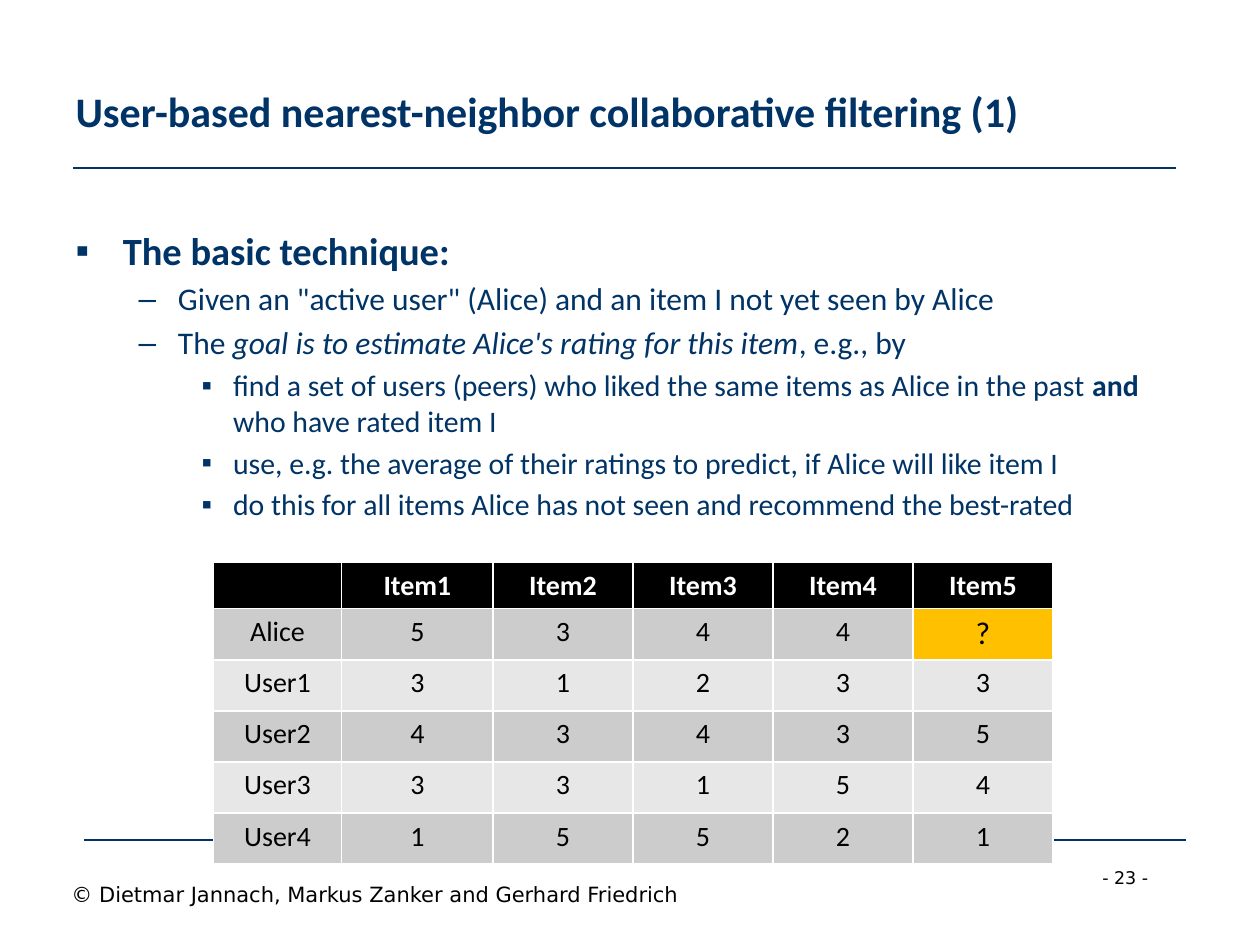
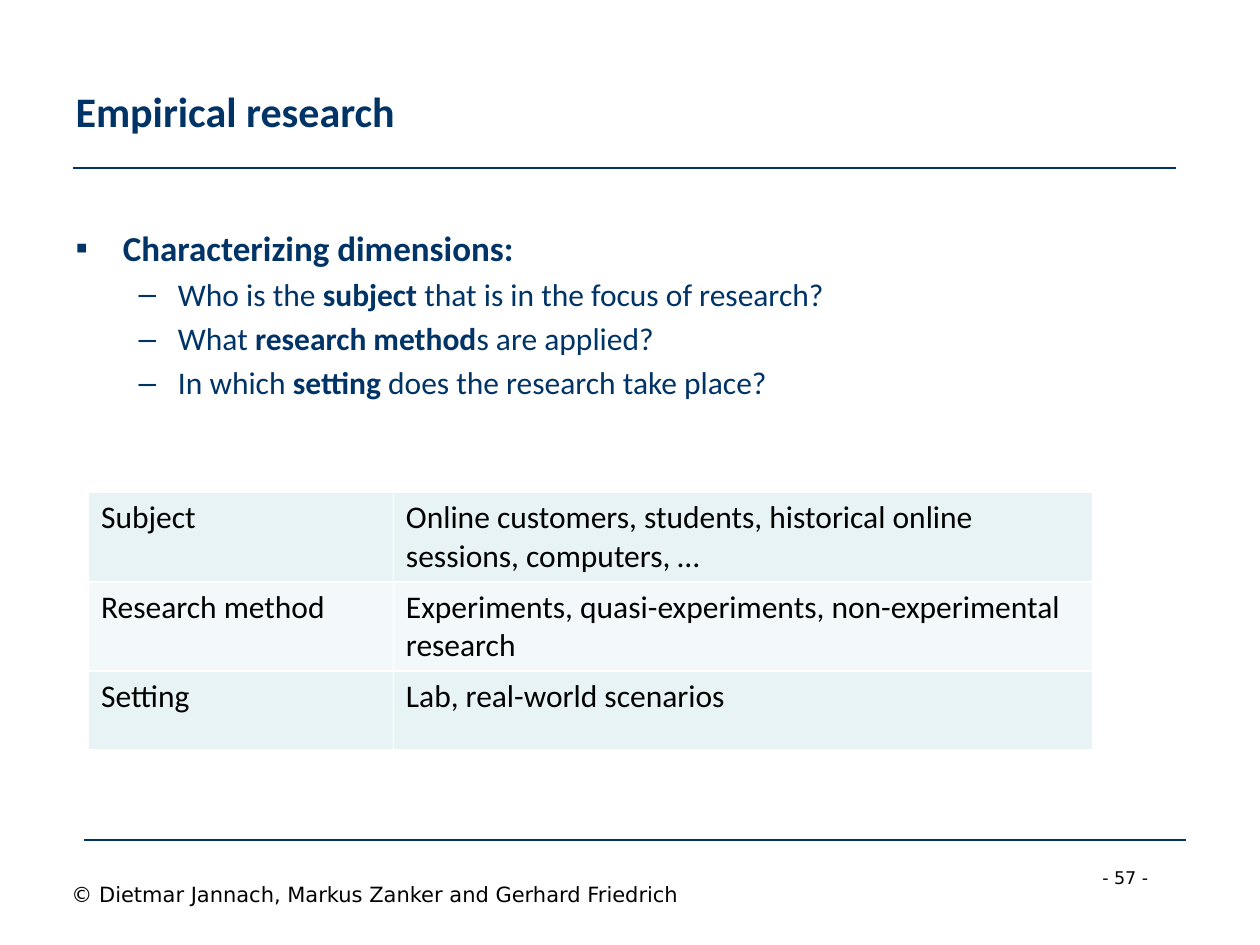
from lxml import etree
from pptx import Presentation
from pptx.dml.color import RGBColor
from pptx.enum.shapes import MSO_CONNECTOR
from pptx.enum.text import MSO_ANCHOR, MSO_AUTO_SIZE, PP_ALIGN
from pptx.oxml.ns import qn
from pptx.util import Pt

STRAIGHT = MSO_CONNECTOR.STRAIGHT
MIDDLE, TOP = MSO_ANCHOR.MIDDLE, MSO_ANCHOR.TOP
NO_AUTOFIT = MSO_AUTO_SIZE.NONE
LEFT, CENTER = PP_ALIGN.LEFT, PP_ALIGN.CENTER

COLORS = {
    "navy": "003366", "black": "000000", "white": "FFFFFF", "unknown": "FFC000",
    "gray": "CCCCCC", "light gray": "E7E7E7", "mint": "E7F3F4", "light mint": "F3F9FA",
}
TEXT_FONT, FOOTER_FONT = "Calibri", "DejaVu Sans"
TITLE_BOX = (36, 18, 648, 90)
BODY_BOX = (36, 126, 648, 356.4)
PAGE_NUMBER_BOX = (622.8, 491.8, 54.7, 19.4)
COPYRIGHT_BOX = (33.8, 500.4, 456.5, 21.6)
RULES = ((42, 96), (48, 480))
RULE_WIDTH = 630
COPYRIGHT = "© Dietmar Jannach, Markus Zanker and Gerhard Friedrich"
BULLETS = (("▪", 27, 27), ("–", 58.5, 22.5), ("▪", 90, 18))
PLAIN, BOLD, ITALIC = "plain", "bold", "italic"

TECHNIQUE = (
    (0, 22, [("The basic technique:", BOLD)]),
    (1, 18, [('Given an "active user" (Alice) and an item I not yet seen by Alice', PLAIN)]),
    (1, 18, [("The ", PLAIN), ("goal is to estimate Alice's rating for this item", ITALIC),
             (", e.g., by", PLAIN)]),
    (2, 17, [("find a set of users (peers) who liked the same items as Alice in the past ", PLAIN),
             ("and ", BOLD), ("who have rated item I", PLAIN)]),
    (2, 17, [("use, e.g. the average of their ratings to predict, if Alice will like item I", PLAIN)]),
    (2, 17, [("do this for all items Alice has not seen and recommend the best-rated", PLAIN)]),
)
RATINGS = (
    ("", "Item1", "Item2", "Item3", "Item4", "Item5"),
    ("Alice", "5", "3", "4", "4", "?"),
    ("User1", "3", "1", "2", "3", "3"),
    ("User2", "4", "3", "4", "3", "5"),
    ("User3", "3", "3", "1", "5", "4"),
    ("User4", "1", "5", "5", "2", "1"),
)
DIMENSIONS = (
    (0, 20, [("Characterizing dimensions:", BOLD)]),
    (1, 18, [("Who is the ", PLAIN), ("subject", BOLD),
             (" that is in the focus of research?", PLAIN)]),
    (1, 18, [("What ", PLAIN), ("research method", BOLD), ("s are applied?", PLAIN)]),
    (1, 18, [("In which ", PLAIN), ("setting", BOLD),
             (" does the research take place?", PLAIN)]),
)
DIMENSION_VALUES = (
    ("Subject", "Online customers, students, historical online sessions, computers, …"),
    ("Research method", "Experiments, quasi-experiments, non-experimental research"),
    ("Setting", "Lab, real-world scenarios"),
)


def color(name):
    """Return the named colour."""
    return RGBColor.from_string(COLORS[name])


def style_font(font, size, color_name, name=TEXT_FONT, bold=False):
    """Set the face, size, colour and weight of a font."""
    font.name, font.size, font.bold = name, Pt(size), bold
    font.color.rgb = color(color_name)


def place(shape, box):
    """Move a shape to a box of left, top, width and height."""
    shape.left, shape.top, shape.width, shape.height = map(Pt, box)


def add_rule(slide, left, top):
    """Draw a thin horizontal rule."""
    rule = slide.shapes.add_connector(STRAIGHT, Pt(left), Pt(top), Pt(left + RULE_WIDTH), Pt(top))
    rule.line.color.rgb = color("navy")
    rule.line.width = Pt(0.75)
    etree.SubElement(rule._element.spPr, qn("a:effectLst"))


def add_footer_text(slide, box, text, size):
    """Add one line of footer text."""
    frame = slide.shapes.add_textbox(*map(Pt, box)).text_frame
    frame.word_wrap = True
    paragraph = frame.paragraphs[0]
    paragraph.text = text
    style_font(paragraph.font, size, "black", FOOTER_FONT)


def fill_title(slide, text):
    """Place and format the slide title."""
    title = slide.shapes.title
    place(title, TITLE_BOX)
    frame = title.text_frame
    frame.text = text
    frame.vertical_anchor = MIDDLE
    frame.auto_size = NO_AUTOFIT
    paragraph = frame.paragraphs[0]
    paragraph.alignment = LEFT
    style_font(paragraph.font, 24, "navy", bold=True)


def set_bullet(paragraph, level):
    """Give a paragraph the bullet and indent of its level."""
    character, margin, hanging = BULLETS[level]
    paragraph.level = level
    properties = paragraph._p.get_or_add_pPr()
    properties.set("marL", str(Pt(margin)))
    properties.set("indent", str(-Pt(hanging)))
    etree.SubElement(properties, qn("a:buChar")).set("char", character)


def fill_body(slide, items):
    """Fill the body placeholder with a bulleted list."""
    body = slide.placeholders[1]
    place(body, BODY_BOX)
    frame = body.text_frame
    frame.vertical_anchor = TOP
    frame.auto_size = NO_AUTOFIT
    for index, (level, size, runs) in enumerate(items):
        paragraph = frame.add_paragraph() if index else frame.paragraphs[0]
        set_bullet(paragraph, level)
        paragraph.space_before = Pt(round(0.2 * size, 1) if index else 0)
        style_font(paragraph.font, size, "navy", bold=level == 0)
        for text, style in runs:
            run = paragraph.add_run()
            run.text = text
            if style == BOLD:
                run.font.bold = True
            elif style == ITALIC:
                run.font.italic = True


def add_content_slide(presentation, title, items, page):
    """Add a slide with the shared title, list, rules and footer."""
    slide = presentation.slides.add_slide(presentation.slide_layouts[1])
    for left, top in RULES:
        add_rule(slide, left, top)
    add_footer_text(slide, PAGE_NUMBER_BOX, f"- {page} -", 10)
    add_footer_text(slide, COPYRIGHT_BOX, COPYRIGHT, 12)
    fill_title(slide, title)
    fill_body(slide, items)
    return slide


def add_grid(slide, position, widths, heights, rows, has_header):
    """Add a table with the given column widths and row heights."""
    box = (*position, sum(widths), sum(heights))
    table = slide.shapes.add_table(len(rows), len(widths), *map(Pt, box)).table
    table.first_row, table.horz_banding = has_header, False
    for column, width in zip(table.columns, widths):
        column.width = Pt(width)
    for row, height in zip(table.rows, heights):
        row.height = Pt(height)
    return table


def fill_cell(cell, text, fill, size, text_color="black", bold=False, alignment=LEFT):
    """Write one table cell on a solid fill."""
    cell.fill.solid()
    cell.fill.fore_color.rgb = color(fill)
    paragraph = cell.text_frame.paragraphs[0]
    paragraph.text = text
    paragraph.alignment = alignment
    style_font(paragraph.font, size, text_color, bold=bold)


def add_ratings_table(slide, position):
    """Add the user and item ratings with the unknown one highlighted."""
    widths = [73.4, 86.4] + [80] * 4
    table = add_grid(slide, position, widths, [26.4] + [29.2] * 5, RATINGS, True)
    for row, values in enumerate(RATINGS):
        for column, value in enumerate(values):
            cell = table.cell(row, column)
            if row == 0:
                fill_cell(cell, value, "black", 16, "white", True, CENTER)
            elif value == "?":
                fill_cell(cell, value, "unknown", 18, alignment=CENTER)
            else:
                fill = "gray" if row % 2 else "light gray"
                fill_cell(cell, value, fill, 16, alignment=CENTER)


def add_dimensions_table(slide, position):
    """Add the research dimensions and their possible values."""
    table = add_grid(slide, position, (174.2, 399.6), (51, 51, 45), DIMENSION_VALUES, False)
    for row, values in enumerate(DIMENSION_VALUES):
        for column, value in enumerate(values):
            fill_cell(table.cell(row, column), value, "light mint" if row % 2 else "mint", 18)


def main():
    """Build and save the presentation."""
    presentation = Presentation()
    presentation.slide_width, presentation.slide_height = Pt(720), Pt(540)
    filtering = add_content_slide(
        presentation, "User-based nearest-neighbor collaborative filtering (1)", TECHNIQUE, 23)
    add_ratings_table(filtering, (121.9, 321.4))
    research = add_content_slide(presentation, "Empirical research", DIMENSIONS, 57)
    add_dimensions_table(research, (50.6, 281.5))
    presentation.save("out.pptx")


if __name__ == "__main__":
    main()
